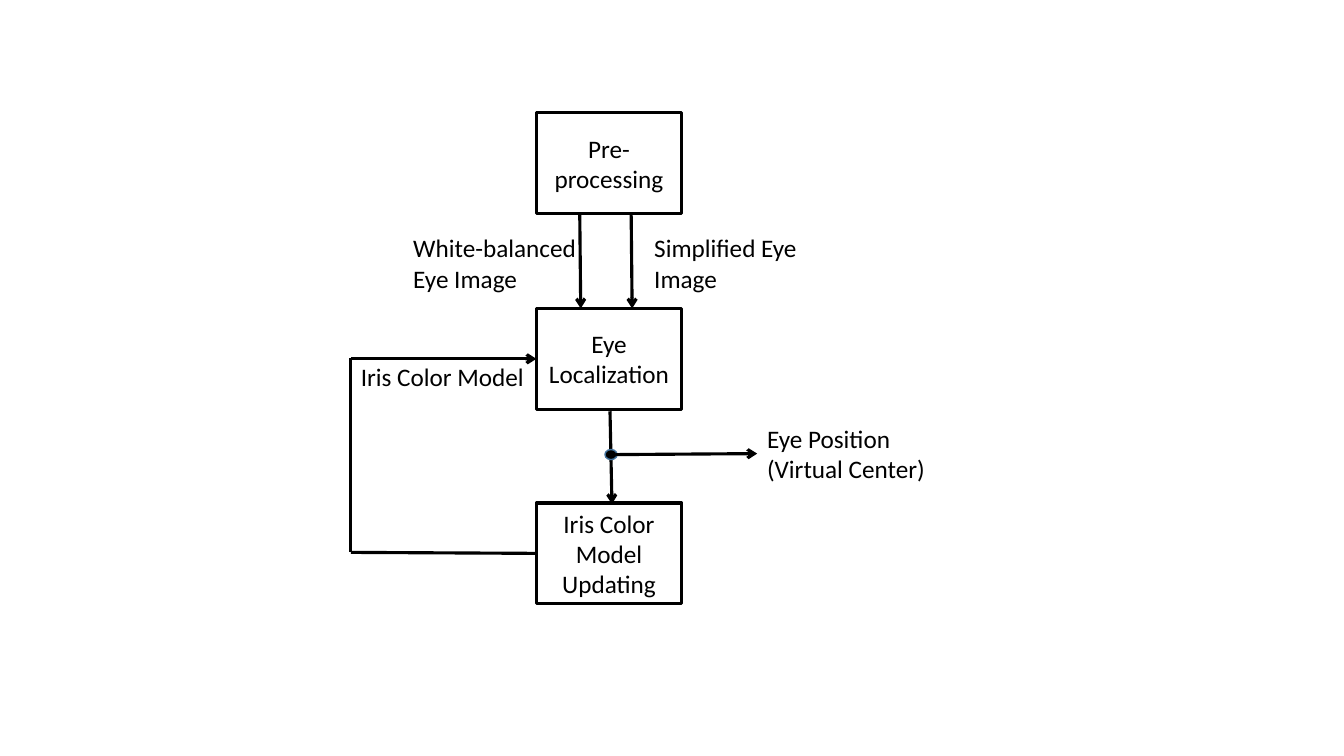
from lxml.etree import SubElement
from pptx import Presentation
from pptx.dml.color import RGBColor
from pptx.enum.shapes import MSO_CONNECTOR, MSO_SHAPE
from pptx.enum.text import MSO_ANCHOR, PP_ALIGN
from pptx.oxml.ns import qn
from pptx.util import Inches, Pt

COLORS = {"ink": RGBColor.from_string("000000"),
          "junction_edge": RGBColor.from_string("43739E")}
BOX_LEFT, BOX_WIDTH, BOX_HEIGHT = 5.32, 1.44, 1
FEEDBACK_LEFT = 3.48

prs = Presentation()
prs.slide_width, prs.slide_height = Inches(13.33), Inches(7.5)
slide = prs.slides.add_slide(prs.slide_layouts[6])


def write(holder, text, align=PP_ALIGN.LEFT, anchor=MSO_ANCHOR.TOP, wrap=True):
    """Fill a shape with text, one paragraph per line."""
    frame = holder.text_frame
    frame.word_wrap = wrap
    frame.vertical_anchor = anchor
    frame.text = text
    for paragraph in frame.paragraphs:
        paragraph.alignment = align
        paragraph.font.size = Pt(18)
        paragraph.font.name = "Calibri"
        paragraph.font.color.rgb = COLORS["ink"]


def connect(start, end, arrow=True):
    """Draw a flow line, with an open arrowhead at its end if asked."""
    flow = slide.shapes.add_connector(
        MSO_CONNECTOR.STRAIGHT, *[Inches(v) for v in (*start, *end)])
    flow.line.color.rgb = COLORS["ink"]
    flow.line.width = Pt(2.25)
    if arrow:
        SubElement(flow.line._get_or_add_ln(), qn("a:tailEnd"), type="arrow")
    SubElement(flow._element.spPr, qn("a:effectLst"))


# Processing steps
steps = [(1.12, "Pre-processing"),
         (3.06, "Eye\nLocalization"),
         (4.99, "Iris Color Model Updating")]
for top, step_name in steps:
    step = slide.shapes.add_shape(
        MSO_SHAPE.RECTANGLE, Inches(BOX_LEFT), Inches(top),
        Inches(BOX_WIDTH), Inches(BOX_HEIGHT))
    step.shadow.inherit = False
    step.fill.background()
    step.line.color.rgb = COLORS["ink"]
    step.line.width = Pt(2.25)
    write(step, step_name, align=PP_ALIGN.CENTER, anchor=MSO_ANCHOR.MIDDLE)

# Flow between steps
for x in (5.75, 6.26):
    connect((x, 2.12), (x + 0.01, 3.06))
connect((6.05, 4.08), (6.07, 5))

# Branch to the output
junction = slide.shapes.add_shape(
    MSO_SHAPE.OVAL, Inches(6), Inches(4.46), Inches(0.12), Inches(0.1))
junction.shadow.inherit = False
junction.fill.solid()
junction.fill.fore_color.rgb = COLORS["ink"]
junction.line.color.rgb = COLORS["junction_edge"]
junction.line.width = Pt(1)
connect((6.11, 4.51), (7.51, 4.5))

# Feedback loop to localization
connect((BOX_LEFT, 5.49), (FEEDBACK_LEFT, 5.48), arrow=False)
connect((FEEDBACK_LEFT, 3.55), (FEEDBACK_LEFT, 5.48), arrow=False)
connect((FEEDBACK_LEFT, 3.56), (BOX_LEFT, 3.56))

# Signal labels
labels = [(4, 2.26, 1.89, 0.71, "White-balanced \nEye Image", False),
          (6.39, 2.26, 1.69, 0.71, "Simplified Eye \nImage", False),
          (FEEDBACK_LEFT, 3.54, 1.84, 0.4, "Iris Color Model", False),
          (7.51, 4.15, 1.8, 0.71, "Eye Position\n(Virtual Center)", True)]
for left, top, width, height, signal, wrap in labels:
    label = slide.shapes.add_textbox(
        Inches(left), Inches(top), Inches(width), Inches(height))
    write(label, signal, wrap=wrap)

prs.save("out.pptx")
